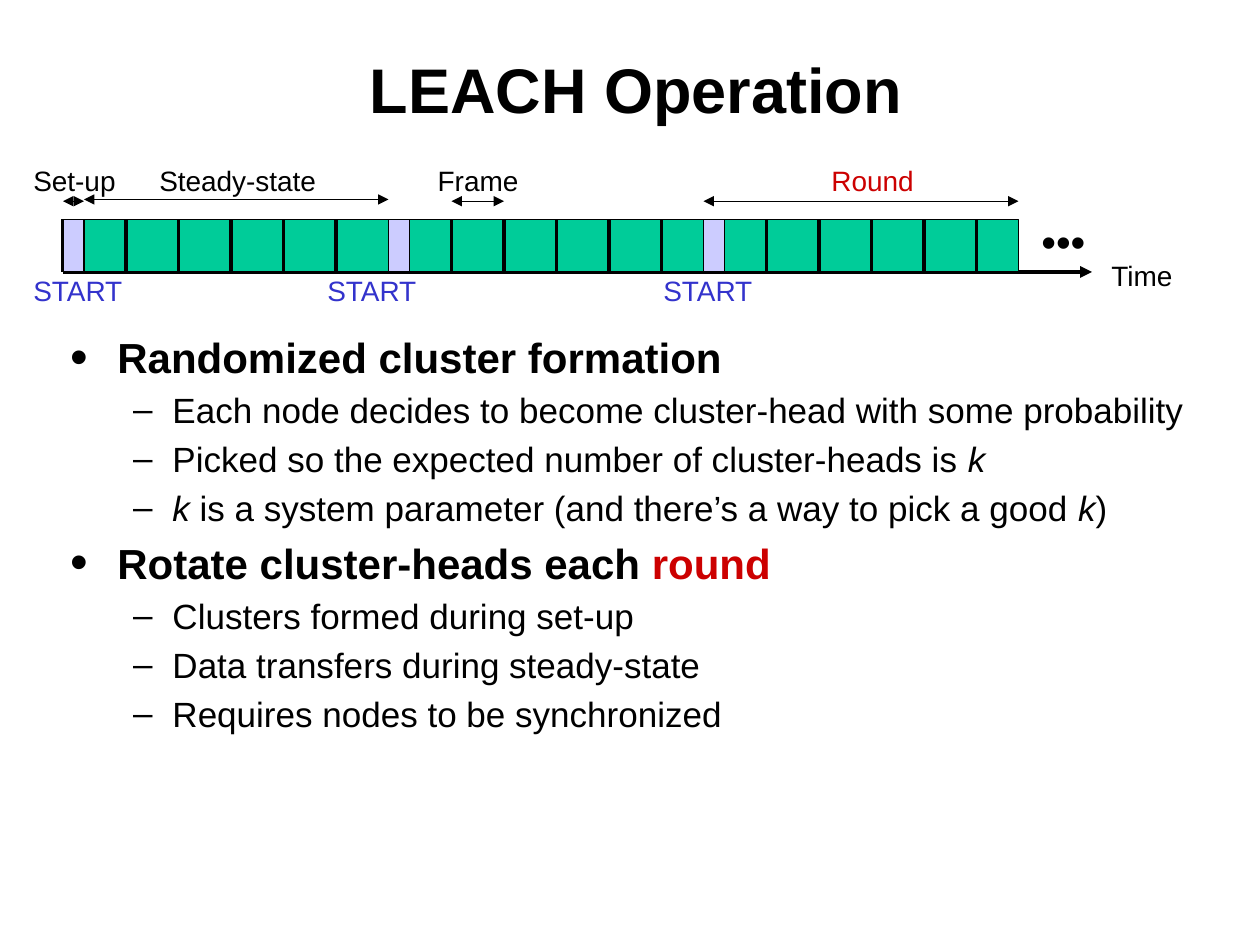
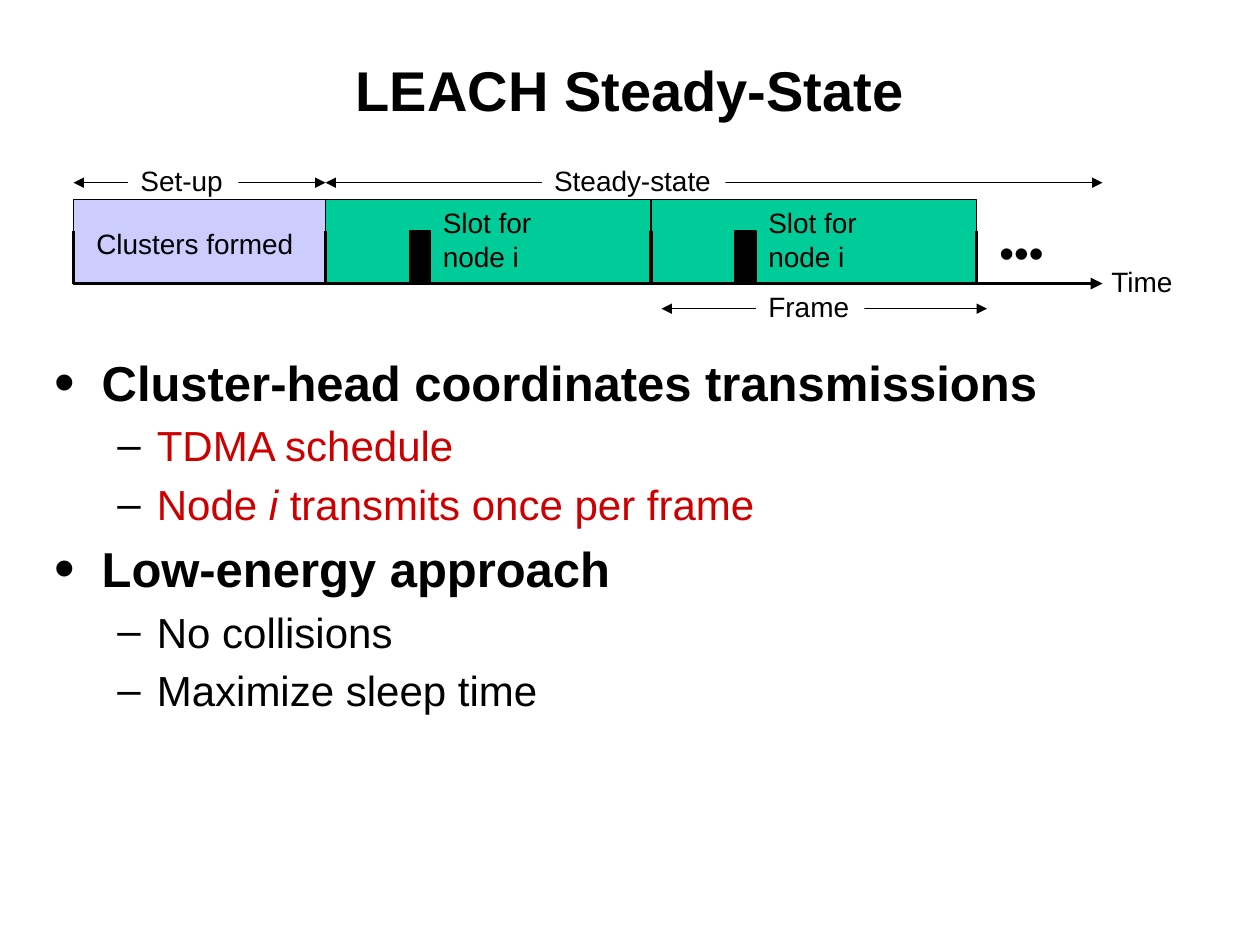
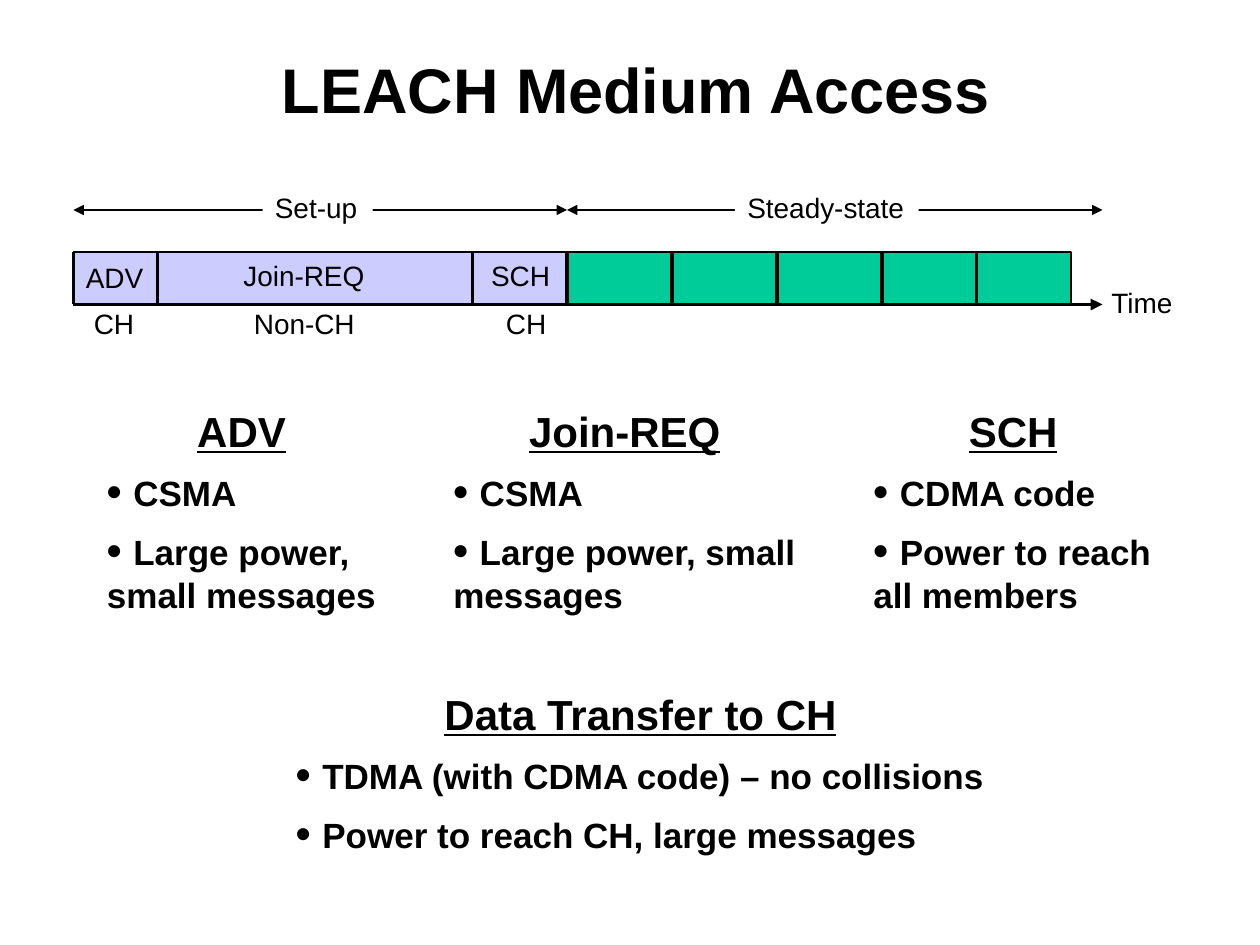
"""Builds three slides on LEACH operation, steady state and medium access."""
from lxml import etree
from pptx import Presentation
from pptx.dml.color import RGBColor
from pptx.enum import shapes, text
from pptx.oxml.ns import qn
from pptx.util import Pt

FONT = "Arial"
BLACK, WHITE, RED, BLUE = "000000", "FFFFFF", "CC0000", "3333CC"
SETUP, STEADY = "CCCCFF", "00CC99"
THIN, THICK = 0.75, 2.25
BULLETS = [("•", 27, -27, 120), ("–", 58.5, -22.5, 100)]
LABEL_WIDTHS = {
    "Time": 52, "START": 69, "Set-up": 63, "Steady-state": 105, "Frame": 62,
    "Round": 63, "•••": 42, "ADV": 50, "Join-REQ": 86, "SCH": 50, "CH": 40,
    "Non-CH": 74, "Slot for\nnode i": 72, "Clusters formed": 138,
}

OPERATION = [
    (0, [("Randomized cluster formation", "b")]),
    (1, [("Each node decides to become cluster-head with some probability", "")]),
    (1, [("Picked so the expected number of cluster-heads is ", ""), ("k", "i")]),
    (1, [("k", "i"), (" is a system parameter (and there’s a way to pick a good ", ""),
         ("k", "i"), (")", "")]),
    (0, [("Rotate cluster-heads each ", "b"), ("round", "br")]),
    (1, [("Clusters formed during set-up", "")]),
    (1, [("Data transfers during steady-state", "")]),
    (1, [("Requires nodes to be synchronized", "")]),
]
ROUND_STARTS, ROUNDS_END = [36, 222, 402], 582
ROUND_LABELS = [("Set-up", 12, BLACK), ("Steady-state", 84, BLACK),
                ("Frame", 243, BLACK), ("Round", 468, RED)]
ROUND_SPANS = [(36, 48, 115), (258, 288, 115), (402, 582, 115), (48, 222, 114)]
START_LEFTS = [12, 180, 372]

STEADY_STATE = [
    (0, [("Cluster-head coordinates transmissions", "b")]),
    (1, [("TDMA schedule", "r")]),
    (1, [("Node ", "r"), ("i", "ir"), (" transmits once per frame", "r")]),
    (0, [("Low-energy approach", "b")]),
    (1, [("No collisions", "")]),
    (1, [("Maximize sleep time", "")]),
]
FRAME_STARTS, FRAME_WIDTH = [186, 372], 186
STEADY_SPANS = [("Set-up", 73.2, 42, 186, 104.4),
                ("Steady-state", 309.6, 186, 630, 104.4),
                ("Frame", 432, 378, 564, 176.4)]

ACCESS_SPANS = [("Set-up", 150, 42, 324, 120),
                ("Steady-state", 420, 324, 630, 120)]
PHASES = [("ADV", 42, 145.4, "CH", 46.5), ("Join-REQ", 132, 144, "Non-CH", 138),
          ("SCH", 273.6, 144, "CH", 282)]
ACCESS_TICKS = [42, 90, 270, 324, 384, 444, 504, 558]
METHODS = [
    ((54, 228, 168, 150), "ADV", ["CSMA", "Large power, small messages"]),
    ((252, 228, 210, 150), "Join-REQ", ["CSMA", "Large power, small messages"]),
    ((492, 228, 174, 150), "SCH", ["CDMA code", "Power to reach all members"]),
    ((162, 390, 408, 120), "Data Transfer to CH",
     ["TDMA (with CDMA code) – no collisions", "Power to reach CH, large messages"]),
]


def rgb(value):
    """Turns a hex string into a colour."""
    return RGBColor.from_string(value)


def style(run, size, color=BLACK, bold=False, italic=False, underline=False):
    """Formats one run."""
    font = run.font
    font.name, font.size, font.color.rgb = FONT, Pt(size), rgb(color)
    font.bold, font.italic, font.underline = bold, italic, underline


def box(slide, left, top, width, height):
    """Adds an empty wrapping text box."""
    area = slide.shapes.add_textbox(Pt(left), Pt(top), Pt(width), Pt(height))
    area.text_frame.word_wrap = True
    return area


def title(slide, heading, size=36, place=(37.2, 20, 652.4, 61.2)):
    """Adds the centred slide title."""
    frame = box(slide, *place).text_frame
    frame.margin_left = frame.margin_right = frame.margin_top = frame.margin_bottom = 0
    frame.vertical_anchor = text.MSO_ANCHOR.MIDDLE
    frame.text = heading
    frame.paragraphs[0].alignment = text.PP_ALIGN.CENTER
    style(frame.paragraphs[0].runs[0], size, bold=True)


def label(slide, words, left, top, color=BLACK, size=16, fill=None):
    """Adds a short diagram label."""
    lines = words.split("\n")
    area = box(slide, left, top, LABEL_WIDTHS[words], 7.2 + 1.2 * size * len(lines))
    if fill:
        area.fill.solid()
        area.fill.fore_color.rgb = rgb(fill)
    frame = area.text_frame
    frame.word_wrap = False
    frame.text = words
    for paragraph in frame.paragraphs:
        style(paragraph.runs[0], size, color)


def block(slide, left, top, width, height, fill):
    """Adds a thinly outlined timeline block."""
    part = slide.shapes.add_shape(shapes.MSO_SHAPE.RECTANGLE,
                                  Pt(left), Pt(top), Pt(width), Pt(height))
    part.shadow.inherit = False
    part.fill.solid()
    part.fill.fore_color.rgb = rgb(fill)
    part.line.color.rgb, part.line.width = rgb(BLACK), Pt(THIN)


def line(slide, x1, y1, x2, y2, weight, ends=()):
    """Adds a straight line with arrowheads at the named ends."""
    stroke = slide.shapes.add_connector(shapes.MSO_CONNECTOR.STRAIGHT,
                                        Pt(x1), Pt(y1), Pt(x2), Pt(y2))
    stroke.line.color.rgb, stroke.line.width = rgb(BLACK), Pt(weight)
    for end in ends:
        etree.SubElement(stroke.line._get_or_add_ln(), qn(f"a:{end}"), type="triangle")
    etree.SubElement(stroke._element.spPr, qn("a:effectLst"))


def ticks(slide, lefts, top, bottom):
    """Adds thick vertical divisions."""
    for left in lefts:
        line(slide, left, top, left, bottom, THICK)


def span(slide, start, end, y):
    """Adds a double-headed arrow."""
    line(slide, start, y, end, y, THIN, ("headEnd", "tailEnd"))


def labelled_spans(slide, spans):
    """Adds arrows interrupted by their labels."""
    for words, left, start, end, y in spans:
        span(slide, start, end, y)
        label(slide, words, left, y - 14.4, fill=WHITE)


def time_axis(slide, start, end, y, label_top):
    """Adds the time arrow and its name."""
    line(slide, start, y, end, y, THICK, ("tailEnd",))
    label(slide, "Time", 628, label_top)


def outline(slide, points, place, sizes):
    """Adds the two-level bullet list."""
    frame = box(slide, *place).text_frame
    for index, (level, runs) in enumerate(points):
        paragraph = frame.paragraphs[0] if index == 0 else frame.add_paragraph()
        mark, margin, indent, percent = BULLETS[level]
        props = paragraph._p.get_or_add_pPr()
        props.set("marL", str(Pt(margin)))
        props.set("indent", str(Pt(indent)))
        color = etree.SubElement(props, qn("a:buClr"))
        etree.SubElement(color, qn("a:srgbClr"), val=BLACK)
        etree.SubElement(props, qn("a:buSzPct"), val=str(percent * 1000))
        etree.SubElement(props, qn("a:buFont"), typeface=FONT)
        etree.SubElement(props, qn("a:buChar"), char=mark)
        paragraph.level = level
        if index:
            paragraph.space_before = Pt(sizes[level] / 5)
        for words, marks in runs:
            run = paragraph.add_run()
            run.text = words
            style(run, sizes[level], RED if "r" in marks else BLACK,
                  "b" in marks, "i" in marks)


def method(slide, place, heading, points):
    """Adds an underlined heading with its points."""
    frame = box(slide, *place).text_frame
    frame.text = heading
    frame.paragraphs[0].alignment = text.PP_ALIGN.CENTER
    style(frame.paragraphs[0].runs[0], 24, bold=True, underline=True)
    for point in points:
        paragraph = frame.add_paragraph()
        paragraph.space_before = Pt(5)
        for words, size in (("• ", 24), (point, 20)):
            run = paragraph.add_run()
            run.text = words
            style(run, size, bold=True)


def operation(slide):
    """Draws the rounds of the protocol."""
    top, height, setup = 125.4, 30, 12
    bottom = top + height
    title(slide, "LEACH Operation")
    outline(slide, OPERATION, (33, 185.8, 657.4, 329.8), (24, 20))
    time_axis(slide, 36, 624, bottom, 144.4)
    label(slide, "•••", 588, 119.6, size=24)
    ticks(slide, ROUND_STARTS, top, bottom)
    for start, end in zip(ROUND_STARTS, ROUND_STARTS[1:] + [ROUNDS_END]):
        block(slide, start, top, setup, height, SETUP)
        block(slide, start + setup, top, end - start - setup, height, STEADY)
        ticks(slide, range(start + 36, end - 6, 30), top, bottom)
    for left in START_LEFTS:
        label(slide, "START", left, 152.8, BLUE)
    for start, end, y in ROUND_SPANS:
        span(slide, start, end, y)
    for words, left, color in ROUND_LABELS:
        label(slide, words, left, 90, color)


def steady_state(slide):
    """Draws the frames and the slot of one node."""
    top, tick_top, bottom = 114, 132, 162
    title(slide, "LEACH Steady-State", 32, (54, 6, 612, 90))
    outline(slide, STEADY_STATE, (24, 198, 636, 318), (28, 24))
    labelled_spans(slide, STEADY_SPANS)
    block(slide, 42, top, 144, bottom - top, SETUP)
    label(slide, "Clusters formed", 48, 126)
    for start in FRAME_STARTS:
        block(slide, start, top, FRAME_WIDTH, bottom - top, STEADY)
        block(slide, start + 48, tick_top, 12, bottom - tick_top, BLACK)
        label(slide, "Slot for\nnode i", start + 60, top)
    ticks(slide, [42, *FRAME_STARTS, FRAME_STARTS[-1] + FRAME_WIDTH], tick_top, bottom)
    label(slide, "•••", 564, 126, size=24)
    time_axis(slide, 42, 630, bottom, 147.6)


def medium_access(slide):
    """Draws the set-up phases and how each reaches the medium."""
    top, bottom = 144, 174
    title(slide, "LEACH Medium Access")
    labelled_spans(slide, ACCESS_SPANS)
    block(slide, 42, top, 282, bottom - top, SETUP)
    block(slide, 324, top, 288, bottom - top, STEADY)
    ticks(slide, ACCESS_TICKS, top, bottom)
    time_axis(slide, 42, 630, bottom, 159.8)
    for phase, left, phase_top, sender, sender_left in PHASES:
        label(slide, phase, left, phase_top)
        label(slide, sender, sender_left, 171.4)
    for place, heading, points in METHODS:
        method(slide, place, heading, points)


def main():
    """Builds and saves the slides."""
    deck = Presentation()
    deck.slide_width, deck.slide_height = Pt(720), Pt(540)
    for draw in (operation, steady_state, medium_access):
        draw(deck.slides.add_slide(deck.slide_layouts[6]))
    deck.save("out.pptx")


if __name__ == "__main__":
    main()
